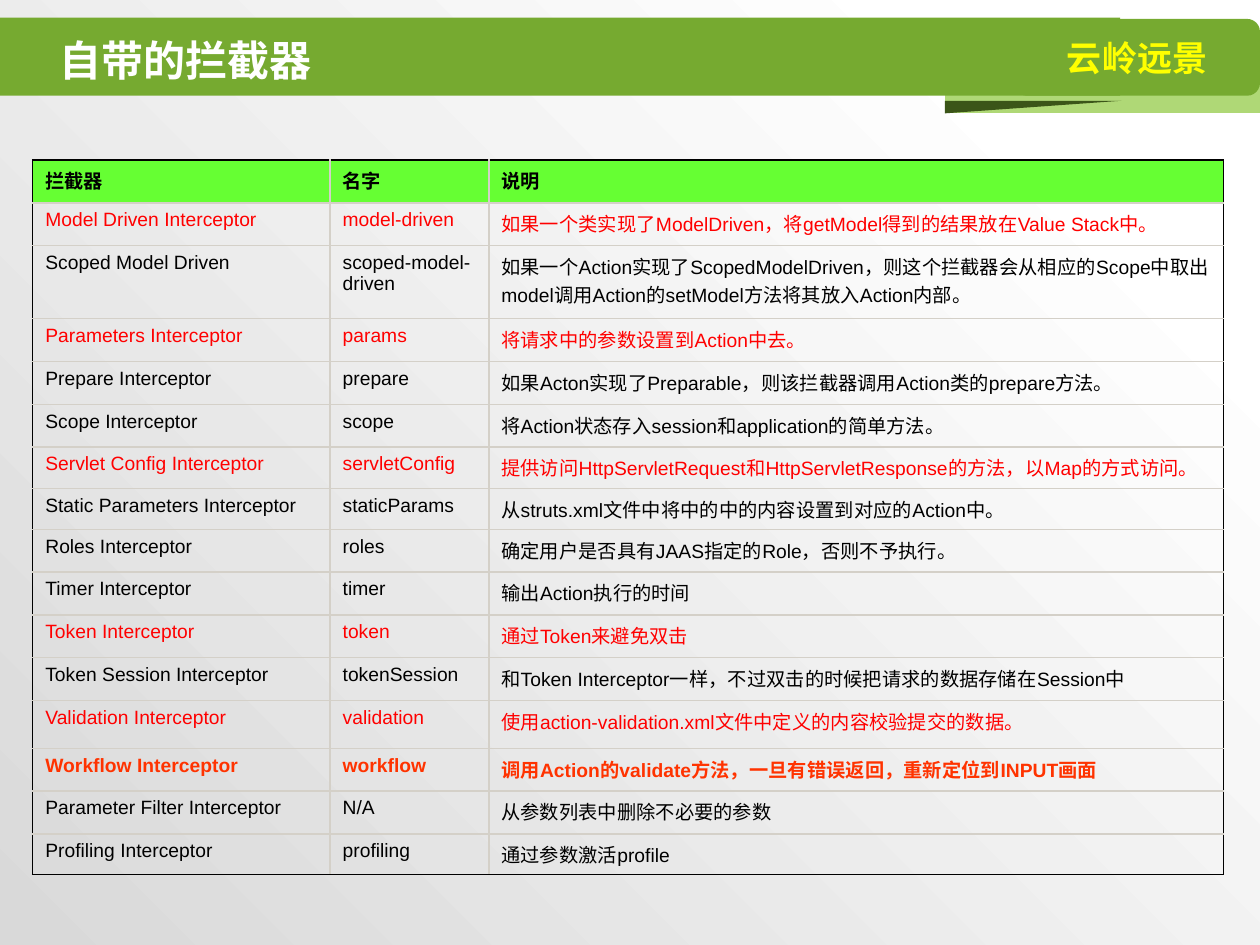
from lxml.etree import SubElement
from pptx import Presentation
from pptx.dml.color import RGBColor
from pptx.enum.shapes import MSO_SHAPE as Shape
from pptx.enum.text import MSO_ANCHOR as Anchor, PP_ALIGN as Align
from pptx.oxml import parse_xml
from pptx.oxml.ns import nsdecls, qn
from pptx.util import Inches, Pt

BLACK, RED, ORANGE, WHITE = "000000", "FF0000", "FF3300", "FFFFFF"
GREEN, LEAF, MOSS = "76AA30", "AFD876", "3B5518"
HEADER_FILL, RULE = "66FF33", "D4D0C8"
CJK = "Noto Sans CJK SC"

HEADER = ("拦截器", "名字", "说明")
# text colour, interceptor, name, description
INTERCEPTORS = [
    (RED, "Model Driven Interceptor", "model-driven",
     "如果一个类实现了ModelDriven，将getModel得到的结果放在Value Stack中。"),
    (BLACK, "Scoped Model Driven", "scoped-model-driven",
     "如果一个Action实现了ScopedModelDriven，则这个拦截器会从相应的Scope中"
     "取出model调用Action的setModel方法将其放入Action内部。"),
    (RED, "Parameters Interceptor", "params", "将请求中的参数设置到Action中去。"),
    (BLACK, "Prepare Interceptor", "prepare",
     "如果Acton实现了Preparable，则该拦截器调用Action类的prepare方法。"),
    (BLACK, "Scope Interceptor", "scope",
     "将Action状态存入session和application的简单方法。"),
    (RED, "Servlet Config Interceptor", "servletConfig",
     "提供访问HttpServletRequest和HttpServletResponse的方法，以Map的方式访问。"),
    (BLACK, "Static Parameters Interceptor", "staticParams",
     "从struts.xml文件中将中的中的内容设置到对应的Action中。"),
    (BLACK, "Roles Interceptor", "roles",
     "确定用户是否具有JAAS指定的Role，否则不予执行。"),
    (BLACK, "Timer Interceptor", "timer", "输出Action执行的时间"),
    (RED, "Token Interceptor", "token", "通过Token来避免双击"),
    (BLACK, "Token Session Interceptor", "tokenSession",
     "和Token Interceptor一样，不过双击的时候把请求的数据存储在Session中"),
    (RED, "Validation Interceptor", "validation",
     "使用action-validation.xml文件中定义的内容校验提交的数据。"),
    (ORANGE, "Workflow Interceptor", "workflow",
     "调用Action的validate方法，一旦有错误返回，重新定位到INPUT画面"),
    (BLACK, "Parameter Filter Interceptor", "N/A", "从参数列表中删除不必要的参数"),
    (BLACK, "Profiling Interceptor", "profiling", "通过参数激活profile"),
]
COLUMN_WIDTHS = (23.6, 12.6, 58.3)
ROW_HEIGHT = 3.4
ODD_HEIGHTS = {2: 5.8, 6: 3.3, 7: 3.2, 12: 3.8, 15: 3.1}


def rgb(hex_colour):
    return RGBColor.from_string(hex_colour)


class Deck:
    """Places elements on a grid of 100 columns by 75 rows."""

    def __init__(self):
        self.prs = Presentation()
        self.prs.slide_width, self.prs.slide_height = Inches(10), Inches(7.5)
        self.unit = self.prs.slide_width // 100
        self.slide = self.prs.slides.add_slide(self.prs.slide_layouts[5])
        self.shapes = self.slide.shapes

    def grid(self, *lengths):
        return [round(length * self.unit) for length in lengths]

    def add_text(self, frame, text, colour, size, bold=False, font=CJK, **paragraph_format):
        paragraph = frame.paragraphs[0]
        for key, value in paragraph_format.items():
            setattr(paragraph, key, value)
        run = paragraph.add_run()
        run.text = text
        for key, value in {"name": font, "size": Pt(size), "bold": bold}.items():
            setattr(run.font, key, value)
        run.font.color.rgb = rgb(colour)
        SubElement(run.font._element, qn("a:ea")).set("typeface", CJK)

    def finish(self, shape, colour):
        shape.shadow.inherit = False
        shape.line.fill.background()
        shape.fill.solid()
        shape.fill.fore_color.rgb = rgb(colour)
        return shape

    def block(self, place, colour, kind=Shape.RECTANGLE):
        return self.finish(self.shapes.add_shape(kind, *self.grid(*place)), colour)

    def backdrop(self, place, start, end, end_at, angle):
        fill = self.block(place, end).fill
        fill.gradient()
        fill.gradient_angle = angle
        for stop, colour, position in zip(fill.gradient_stops, (start, end), (0, end_at)):
            stop.color.rgb = rgb(colour)
            stop.position = position

    def outline(self, points, colour):
        builder = self.shapes.build_freeform(*points[0], scale=self.unit)
        builder.add_line_segments(points[1:], close=True)
        self.finish(builder.convert_to_shape(), colour)

    def title(self, place, text):
        title = self.shapes.title
        title.left, title.top, title.width, title.height = self.grid(*place)
        self.shapes._spTree.append(title._element)
        title.text_frame.word_wrap = True
        title.text_frame.vertical_anchor = Anchor.BOTTOM
        self.add_text(title.text_frame, text, WHITE, 24, True,
                      alignment=Align.LEFT, line_spacing=0.9)

    def borders(self, cell, edges):
        """Draw 1 pt edges in the order left, right, top, bottom."""
        properties = cell._tc.get_or_add_tcPr()
        for index, (side, outer) in enumerate(zip("LRTB", edges)):
            properties.insert(index, parse_xml(
                f'<a:ln{side} {nsdecls("a")} w="{Pt(1)}"><a:solidFill>'
                f'<a:srgbClr val="{BLACK if outer else RULE}"/>'
                f'</a:solidFill></a:ln{side}>'))

    def table(self, left, top, widths, heights, records):
        """Each record is a text colour, a bold flag, a fill or None, and the texts."""
        place = self.grid(left, top, sum(widths), sum(heights))
        table = self.shapes.add_table(len(heights), len(widths), *place).table
        table.first_row = table.horz_banding = False
        for column, width in zip(table.columns, self.grid(*widths)):
            column.width = width
        last_row, last_column = len(heights) - 1, len(widths) - 1
        for r, (height, record) in enumerate(zip(self.grid(*heights), records)):
            table.rows[r].height = height
            colour, bold, fill, texts = record
            for c, text in enumerate(texts):
                cell = table.cell(r, c)
                if fill:
                    cell.fill.solid()
                    cell.fill.fore_color.rgb = rgb(fill)
                else:
                    cell.fill.background()
                self.borders(cell, (c == 0, c == last_column, r == 0, r == last_row))
                self.add_text(cell.text_frame, text, colour, 11, bold, "Arial")


def main():
    deck = Deck()
    deck.backdrop((-0.2, 0, 100.3, 75), "D9D9D9", WHITE, 0.85, 45)
    deck.outline([(75.1, 9.3), (100, 9.3), (100, 3.4), (75.3, 3.4)], LEAF)
    deck.block((0, 1.4, 88.9, 6.2), GREEN)
    deck.outline([(74.8, 7.6), (89, 7.6), (75, 9.3)], MOSS)
    badge = deck.block((80.5, 1.5, 19.5, 6.1), GREEN, Shape.ROUNDED_RECTANGLE)
    badge.text_frame.vertical_anchor = Anchor.MIDDLE
    deck.add_text(badge.text_frame, "云岭远景", "FFFF00", 20, True, alignment=Align.CENTER)
    deck.title((3.7, 1.7, 84.1, 5.6), "自带的拦截器")

    records = [(BLACK, True, HEADER_FILL, HEADER)]
    records += [(colour, colour == ORANGE, None, texts)
                for colour, *texts in INTERCEPTORS]
    heights = [ODD_HEIGHTS.get(row, ROW_HEIGHT) for row in range(len(records))]
    deck.table(2.6, 12.7, COLUMN_WIDTHS, heights, records)
    deck.prs.save("out.pptx")


if __name__ == "__main__":
    main()
